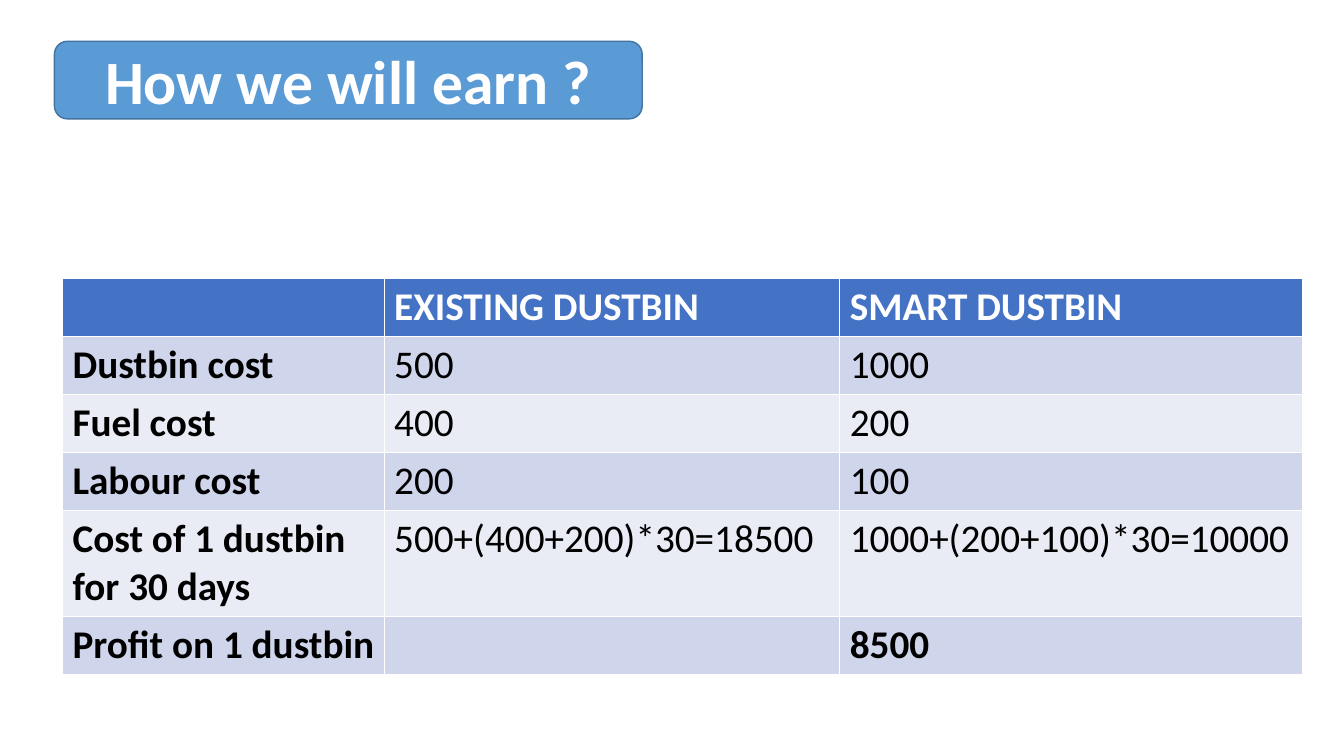
"""Build the slide that compares the costs of two dustbins."""
from pptx import Presentation
from pptx.dml.color import RGBColor
from pptx.enum.shapes import MSO_SHAPE as Shape
from pptx.enum.text import MSO_ANCHOR as Anchor, MSO_AUTO_SIZE as Fit, PP_ALIGN as Align
from pptx.util import Inches, Pt

WHITE = RGBColor(0xFF, 0xFF, 0xFF)
BLACK = RGBColor(0x00, 0x00, 0x00)
SKY = RGBColor(0x5B, 0x9B, 0xD5)
EDGE = RGBColor(0x43, 0x73, 0x9E)
HEAD = RGBColor(0x44, 0x72, 0xC4)
BANDS = [RGBColor(0xE9, 0xEB, 0xF5), RGBColor(0xCF, 0xD5, 0xEA)]


def write(frame, text, size=28, color=BLACK, bold=False, align=Align.LEFT):
    para = frame.paragraphs[0]
    para.alignment = align
    run = para.add_run()
    run.text = text
    font = run.font
    font.name = "Calibri"
    font.size = Pt(size)
    font.bold = bold
    font.color.rgb = color


deck = Presentation()
deck.slide_width = Inches(13.33)
deck.slide_height = Inches(7.5)
slide = deck.slides.add_slide(deck.slide_layouts[5])

box = [Inches(n) for n in (0.54, 0.41, 5.83, 0.77)]
badge = slide.shapes.add_shape(Shape.ROUNDED_RECTANGLE, *box)
badge.shadow.inherit = False
badge.fill.solid()
badge.fill.fore_color.rgb = SKY
badge.line.color.rgb = EDGE
badge.line.width = Pt(1)

title = slide.shapes.title
title.left, title.top, title.width, title.height = box
slide.shapes._spTree.append(title._element)
frame = title.text_frame
frame.word_wrap = True
frame.auto_size = Fit.NONE
frame.vertical_anchor = Anchor.MIDDLE
write(frame, "How we will earn ?", size=44, color=WHITE, bold=True, align=Align.CENTER)

rows = [
    ("", "EXISTING DUSTBIN", "SMART DUSTBIN"),
    ("Dustbin cost", "500", "1000"),
    ("Fuel cost", "400", "200"),
    ("Labour cost", "200", "100"),
    ("Cost of 1 dustbin for 30 days", "500+(400+200)*30=18500", "1000+(200+100)*30=10000"),
    ("Profit on 1 dustbin", "", "8500"),
]
widths = [3.19, 4.52, 4.59]
heights = [0.52, 0.52, 0.52, 0.52, 0.95, 0.52]
last = len(rows) - 1

table = slide.shapes.add_table(
    len(rows), len(widths), Inches(0.62), Inches(2.76),
    Inches(sum(widths)), Inches(sum(heights)),
).table
for col, width in zip(table.columns, widths):
    col.width = Inches(width)
for r, (row, height) in enumerate(zip(rows, heights)):
    table.rows[r].height = Inches(height)
    for c, text in enumerate(row):
        cell = table.cell(r, c)
        cell.fill.solid()
        cell.fill.fore_color.rgb = BANDS[r % 2] if r else HEAD
        if text:
            write(cell.text_frame, text, color=BLACK if r else WHITE,
                  bold=r in (0, last) or c == 0)

deck.save("out.pptx")
